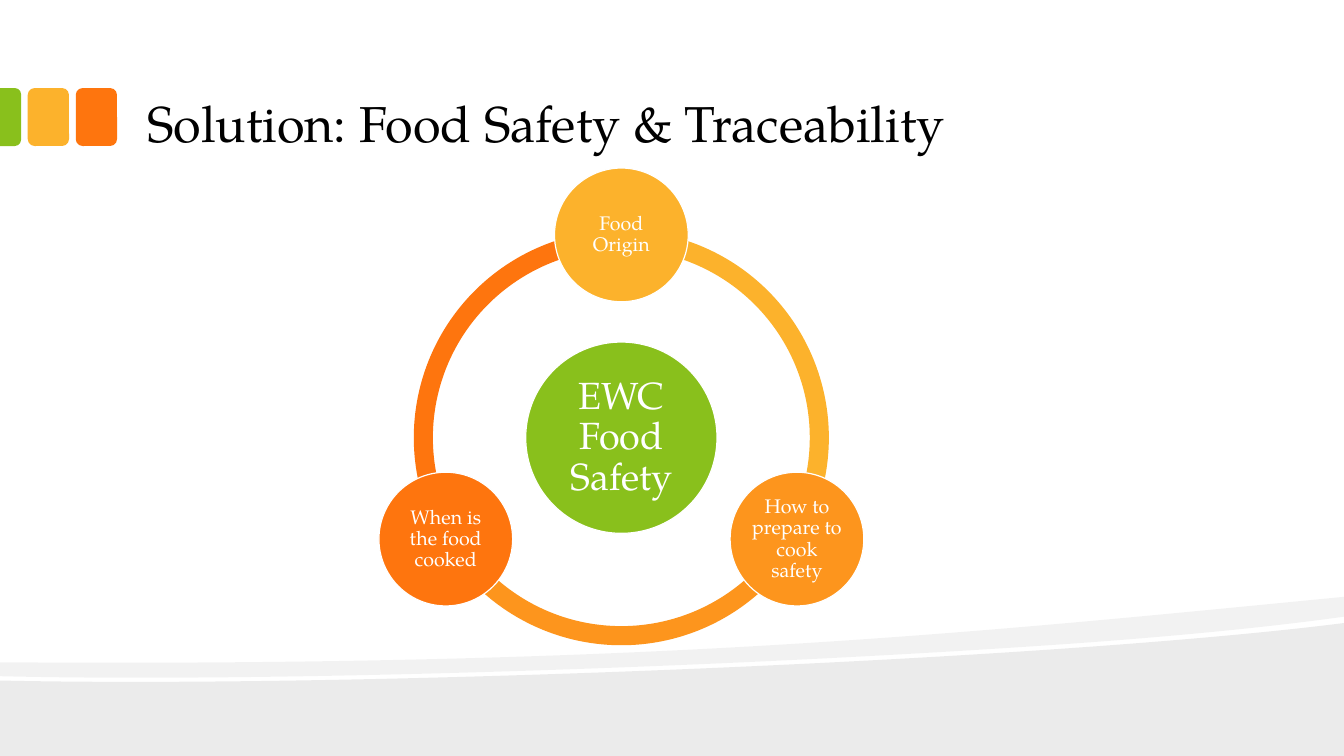
import math

import pptx
import pptx.dml.color
import pptx.enum.shapes
import pptx.enum.text
import pptx.oxml
import pptx.oxml.ns
import pptx.util

Cm = pptx.util.Cm
Pt = pptx.util.Pt
RGB = pptx.dml.color.RGBColor
KIND = pptx.enum.shapes.MSO_SHAPE
ALIGN = pptx.enum.text.PP_ALIGN
ANCHOR = pptx.enum.text.MSO_ANCHOR
SIZING = pptx.enum.text.MSO_AUTO_SIZE
qn = pptx.oxml.ns.qn

GREEN = RGB(0x89, 0xC0, 0x1C)
YELLOW = RGB(0xFC, 0xB2, 0x2C)
AMBER = RGB(0xFD, 0x95, 0x1D)
ORANGE = RGB(0xFE, 0x75, 0x0E)
WHITE = RGB(0xFF, 0xFF, 0xFF)
BLACK = RGB(0, 0, 0)
FONT = "TeX Gyre Pagella"


def apply(item, vals):
    """Set each attribute named in a dict."""
    for name, val in vals.items():
        setattr(item, name, val)


def paint(shape, color):
    """Give a shape a flat fill without line or shadow."""
    shape.shadow.inherit = False
    shape.fill.solid()
    shape.fill.fore_color.rgb = color
    shape.line.fill.background()


def write(shape, text, size, color, align, anchor, pad):
    """Put one formatted paragraph into a shape."""
    frame = shape.text_frame
    frame.text = text
    side, edge = Cm(pad[0]), Cm(pad[1])
    apply(frame, {
        "word_wrap": True, "auto_size": SIZING.NONE, "vertical_anchor": anchor,
        "margin_left": side, "margin_right": side,
        "margin_top": edge, "margin_bottom": edge,
    })
    para = frame.paragraphs[0]
    para.alignment = align
    font = para.runs[0].font
    apply(font, {"name": FONT, "size": Pt(size)})
    font.color.rgb = color
    return para


def add_band(slide, left, top, start, legs, alpha):
    """Draw a translucent outline; legs of three points are curves."""
    dots = [(Cm(left + x), Cm(top + y))
            for x, y in [start] + [dot for leg in legs for dot in leg]]
    build = slide.shapes.build_freeform(*dots[0])
    build.add_line_segments(dots[1:])
    band = build.convert_to_shape()
    paint(band, BLACK)
    tint = band.fill._xPr.find(".//" + qn("a:srgbClr"))
    tint.append(tint.makeelement(qn("a:alpha"), {"val": str(alpha * 1000)}))
    lines = iter(list(band._element.iter(qn("a:lnTo"))))
    for leg in legs:
        nodes = [next(lines) for _ in leg]
        if len(leg) == 3:
            bend = nodes[0].makeelement(qn("a:cubicBezTo"), {})
            nodes[0].addprevious(bend)
            for node in nodes:
                bend.append(node[0])
                node.getparent().remove(node)


def add_waves(slide, left, top, width, height):
    """Draw the two grey waves at the foot."""
    low = [[(width, height)], [(0, height)], [(0, 2.11)],
           [(8.94, 2.31), (26.47, 1.6), (width, 0.66)]]
    high = [[(width, 0.5)],
            [(31.88, 0.78), (29.18, 1.04), (26.14, 1.24)],
            [(17.73, 1.8), (6.55, 2.16), (0, 2)],
            [(0, 1.65)],
            [(16.56, 1.77), (24.66, 0.89), (width, 0)]]
    add_band(slide, left, top, (width, 0.66), low, 8)
    add_band(slide, left, top, (width, 0), high, 5)


def add_tabs(slide, left, top, width, height):
    """Draw the three coloured tabs beside the title."""
    wide, stub = 1.04, 0.53
    gap = (width - 2 * wide - stub) / 2
    for index, color in ((1, ORANGE), (0, YELLOW)):
        x = left + stub + gap + index * (wide + gap)
        tab = slide.shapes.add_shape(
            KIND.ROUNDED_RECTANGLE, Cm(x), Cm(top), Cm(wide), Cm(height))
        paint(tab, color)
    shift = (height - stub) / 2
    tab = slide.shapes.add_shape(
        KIND.ROUND_2_SAME_RECTANGLE, Cm(left - shift), Cm(top + shift),
        Cm(height), Cm(stub))
    tab.rotation = 90
    tab.adjustments[0] = 0.292
    tab.adjustments[1] = 0
    paint(tab, GREEN)


def add_title(slide, left, top, width, height):
    """Place and fill the title."""
    title = slide.shapes.title
    apply(title, {"left": Cm(left), "top": Cm(top),
                  "width": Cm(width), "height": Cm(height)})
    write(title, "Solution: Food Safety & Traceability", 36, BLACK,
          ALIGN.LEFT, ANCHOR.BOTTOM, (0.33, 0.18))


def add_disc(slide, x, y, size, color, text, points, pad):
    """Draw a white-edged disc with text, centred on a point."""
    disc = slide.shapes.add_shape(
        KIND.OVAL, Cm(x - size / 2), Cm(y - size / 2), Cm(size), Cm(size))
    paint(disc, color)
    disc.line.color.rgb = WHITE
    disc.line.width = Pt(0.85)
    para = write(disc, text, points, WHITE, ALIGN.CENTER, ANCHOR.MIDDLE,
                 (pad, pad))
    para.line_spacing = 0.9


def add_cycle(slide, left, top, size):
    """Draw the ring of arcs, its hub and its three discs."""
    parts = [("Food Origin", YELLOW),
             ("How to prepare to cook safety", AMBER),
             ("When is the food cooked", ORANGE)]
    turn = 360 / len(parts)
    x, y, radius = left + size / 2, top + size / 2, 5.11
    angles = [(270 + index * turn) % 360 for index in range(len(parts))]
    for angle, (text, color) in reversed(list(zip(angles, parts))):
        arc = slide.shapes.add_shape(
            KIND.BLOCK_ARC, Cm(left), Cm(top), Cm(size), Cm(size))
        arc.adjustments[0] = angle * 0.6
        arc.adjustments[1] = (angle + turn) % 360 * 0.6
        arc.adjustments[2] = 0.046
        paint(arc, color)
    add_disc(slide, x, y, 4.82, GREEN, "EWC Food Safety", 27, 0.09)
    for angle, (text, color) in zip(angles, parts):
        turned = math.radians(angle)
        add_disc(slide, x + radius * math.cos(turned),
                 y + radius * math.sin(turned), 3.37, color, text, 14, 0.05)


def main():
    """Build and save the slide."""
    deck = pptx.Presentation()
    apply(deck, {"slide_width": Cm(33.87), "slide_height": Cm(19.05)})
    slide = deck.slides.add_slide(deck.slide_layouts[5])
    add_waves(slide, 0, 15.04, 33.87, 4.01)
    add_tabs(slide, 0, 2.22, 2.95, 1.46)
    add_title(slide, 3.38, 0.41, 27.08, 3.61)
    add_cycle(slide, 10.43, 5.8, 10.46)
    deck.save("out.pptx")


if __name__ == "__main__":
    main()
